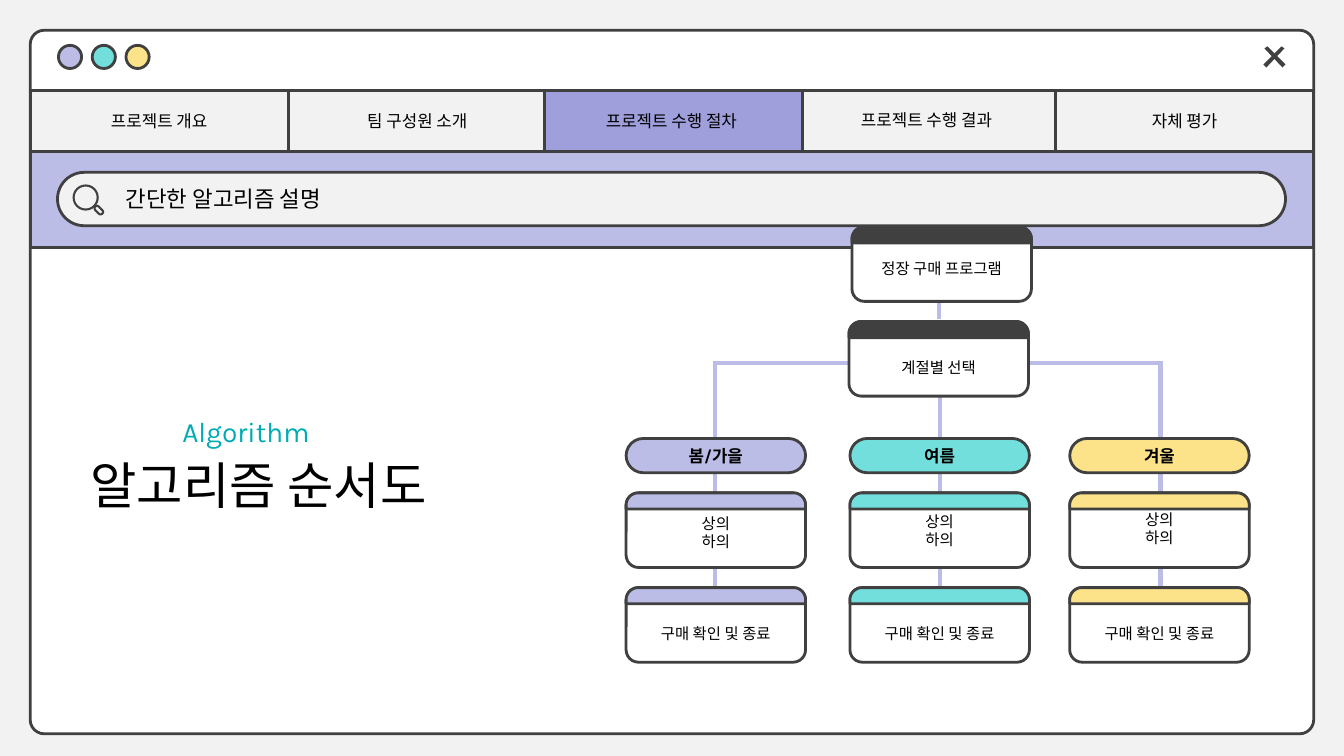
import math

import lxml.etree
import pptx
import pptx.dml.color
import pptx.enum.shapes
import pptx.enum.text
import pptx.oxml.ns
import pptx.util

Inches = pptx.util.Inches
Shape = pptx.enum.shapes.MSO_SHAPE
Align = pptx.enum.text.PP_ALIGN

COLORS = {
    "page": "F2F2F2", "white": "FFFFFF", "ink": "404040", "text": "000000",
    "lilac": "BCBDE6", "active": "9E9FDB", "aqua": "73DFDC",
    "yellow": "FCE38A", "teal": "00ACB4",
}
FONT = "Karla"
CARD_WIDTH, CARD_HEIGHT = 1.78, 0.74
HEADER_HEIGHT, CORNER = 0.16, 0.12


def rgb(name):
    return pptx.dml.color.RGBColor.from_string(COLORS[name])


def paint(shape, fill=None, line="ink", weight=2):
    shape.shadow.inherit = False
    if fill:
        shape.fill.solid()
        shape.fill.fore_color.rgb = rgb(fill)
    else:
        shape.fill.background()
    if line:
        shape.line.color.rgb = rgb(line)
        shape.line.width = pptx.util.Pt(weight)
    else:
        shape.line.fill.background()
    return shape


def add_box(page, kind, left, top, width, height, fill,
            adjust=None, line="ink", weight=2):
    box = page.shapes.add_shape(
        kind, Inches(left), Inches(top), Inches(width), Inches(height))
    if adjust is not None:
        box.adjustments[0] = adjust
    return paint(box, fill, line, weight)


def add_outline(page, points, fill, line="ink"):
    corners = [(Inches(x), Inches(y)) for x, y in points]
    builder = page.shapes.build_freeform(*corners[0], scale=1.0)
    builder.add_line_segments(corners[1:], close=True)
    return paint(builder.convert_to_shape(), fill, line)


def write(frame, lines, size, align=Align.LEFT, color="text", bold=False):
    for index, line in enumerate(lines):
        para = frame.paragraphs[0] if index == 0 else frame.add_paragraph()
        para.alignment = align
        span = para.add_run()
        span.text = line
        span.font.name = FONT
        span.font.size = pptx.util.Pt(size)
        span.font.bold = bold
        span.font.color.rgb = rgb(color)


def add_text(page, left, top, width, height, lines, size,
             align=Align.CENTER, color="text"):
    frame = page.shapes.add_textbox(
        Inches(left), Inches(top), Inches(width), Inches(height)).text_frame
    frame.word_wrap = True
    frame.auto_size = pptx.enum.text.MSO_AUTO_SIZE.SHAPE_TO_FIT_TEXT
    write(frame, lines, size, align, color)


def add_line(page, x1, y1, x2, y2):
    line = page.shapes.add_connector(
        pptx.enum.shapes.MSO_CONNECTOR.STRAIGHT,
        Inches(x1), Inches(y1), Inches(x2), Inches(y2))
    line.line.color.rgb = rgb("lilac")
    line.line.width = pptx.util.Pt(3)
    properties = line._element.spPr
    lxml.etree.SubElement(properties, pptx.oxml.ns.qn("a:effectLst"))


def add_card(page, left, top, fill, lines, text_top):
    """Rounded card with a coloured header whose upper corners are round."""
    add_box(page, Shape.ROUNDED_RECTANGLE, left, top,
            CARD_WIDTH, CARD_HEIGHT, "white", 0.167)
    right, bottom = left + CARD_WIDTH, top + HEADER_HEIGHT
    points = [(right, bottom), (left, bottom)]
    for center, start in ((left + CORNER, 180), (right - CORNER, 270)):
        for step in range(11):
            angle = math.radians(start + 9 * step)
            points.append((center + CORNER * math.cos(angle),
                           top + CORNER + CORNER * math.sin(angle)))
    add_outline(page, points, fill)
    add_text(page, left, text_top, CARD_WIDTH, 0.17 * len(lines) + 0.12,
             lines, 11)


def add_window(page):
    add_box(page, Shape.ROUNDED_RECTANGLE, 0.3, 0.3, 12.73, 6.98, "white", 0.02)
    for index, color in enumerate(("lilac", "aqua", "yellow")):
        add_box(page, Shape.OVAL, 0.58 + 0.335 * index, 0.45, 0.23, 0.23, color)

    # Close button
    bar = [(12.72, 0.67), (12.54, 0.48), (12.57, 0.46), (12.75, 0.64)]
    mirrored = [(25.28 - x, y) for x, y in bar]
    for points in (bar, mirrored):
        add_outline(page, points, "ink", None)


def add_tabs(page):
    tabs = [
        (0.3, 1.05, "프로젝트 개요"),
        (2.86, 1.05, "팀 구성원 소개"),
        (5.4, 1.05, "프로젝트 수행 절차"),
        (7.96, 1.04, "프로젝트 수행 결과"),
        (10.47, 1.05, "자체 평가"),
    ]
    text_lefts = (0.3, 2.86, 5.38, 7.91, 10.47)
    for index, (left, _, _) in enumerate(tabs):
        add_box(page, Shape.RECTANGLE, left, 0.9, 2.56, 0.6,
                "active" if index == 2 else "page")
    for left, (_, top, label) in zip(text_lefts, tabs):
        add_text(page, left, top, 2.56, 0.3, [label], 12)


def add_search_bar(page):
    add_box(page, Shape.RECTANGLE, 0.3, 1.5, 12.73, 0.96, "lilac")
    add_box(page, Shape.ROUNDED_RECTANGLE, 0.57, 1.71, 12.18, 0.53, "page", 0.5)

    # Magnifying glass
    add_box(page, Shape.DONUT, 0.72, 1.83, 0.26, 0.26, "ink", 0.08, None)
    handle = add_box(page, Shape.ROUNDED_RECTANGLE, 0.93, 2.06, 0.1, 0.05,
                     None, 0.5, weight=1.5)
    handle.rotation = 45
    add_text(page, 1.15, 1.79, 10.27, 0.37, ["간단한 알고리즘 설명"], 16, Align.LEFT)


def add_flowchart(page):
    seasons = [
        (6.21, 7.09, "lilac", "봄/가을", 5.05),
        (8.43, 9.32, "aqua", "여름", 5.03),
        (10.61, 11.51, "yellow", "겨울", 5.01),
    ]

    # Connecting lines
    add_line(page, 7.09, 3.6, 11.51, 3.6)
    for _, center, _, _, _ in seasons:
        add_line(page, center, 3.58, center, 5.83)
    add_line(page, 9.31, 3.01, 9.31, 3.16)

    # Season branches
    for left, _, color, season, clothes_top in seasons:
        pill = add_box(page, Shape.ROUNDED_RECTANGLE, left, 4.35,
                       CARD_WIDTH, 0.34, color, 0.5)
        pill.text_frame.vertical_anchor = pptx.enum.text.MSO_ANCHOR.MIDDLE
        write(pill.text_frame, [season], 12, Align.CENTER, bold=True)
        add_card(page, left, 4.89, color, ["상의", "하의"], clothes_top)
        add_card(page, left, 5.83, color, ["구매 확인 및 종료"], 6.14)

    # Starting steps
    add_card(page, 8.42, 3.19, "ink", ["계절별 선택"], 3.5)
    add_card(page, 8.45, 2.25, "ink", ["정장 구매 프로그램"], 2.52)


def main():
    deck = pptx.Presentation()
    deck.slide_width, deck.slide_height = Inches(13.33), Inches(7.5)
    page = deck.slides.add_slide(deck.slide_layouts[6])
    page.background.fill.solid()
    page.background.fill.fore_color.rgb = rgb("page")

    add_window(page)
    add_tabs(page)
    add_search_bar(page)

    # Slide title
    add_text(page, 0.8, 4.46, 5.32, 0.71, ["알고리즘 순서도"], 36, Align.LEFT)
    add_text(page, 1.71, 4.06, 3.57, 0.44, ["Algorithm"], 20, Align.LEFT, "teal")

    add_flowchart(page)
    deck.save("out.pptx")


main()
